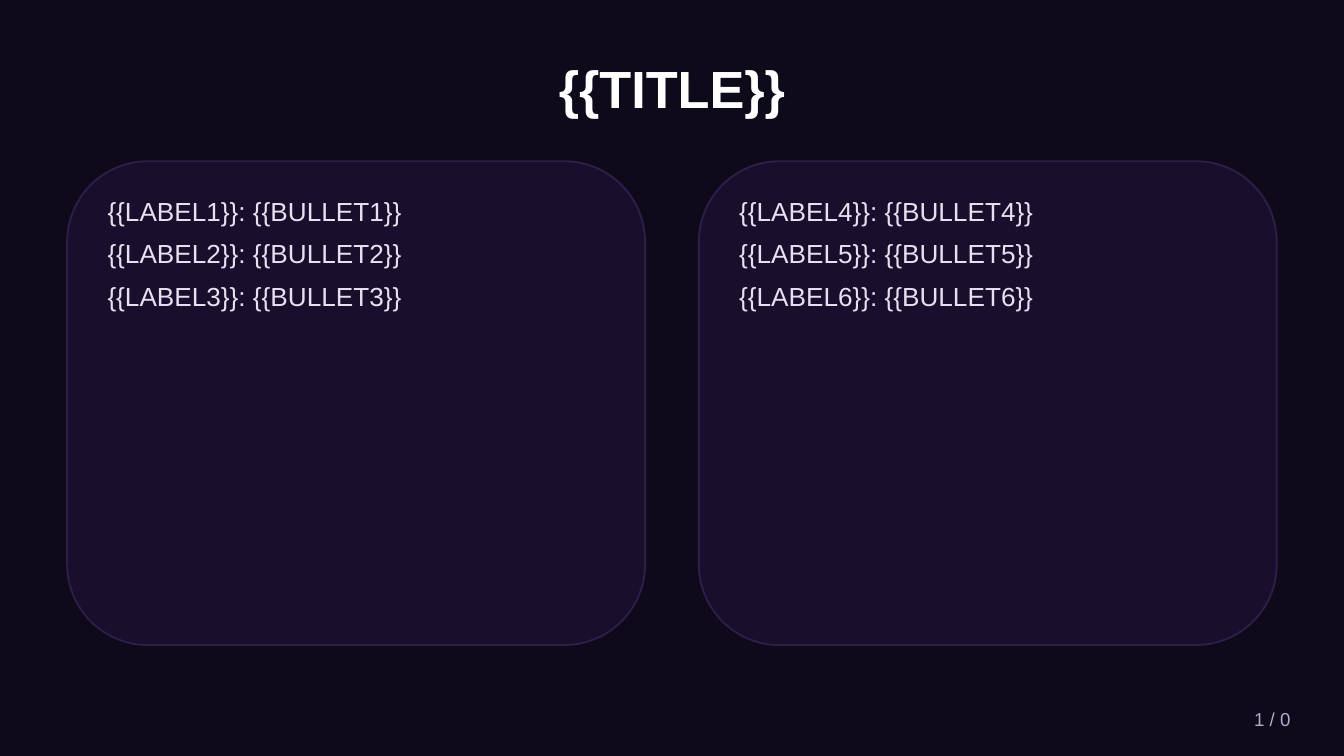
import pptx
import pptx.dml.color
import pptx.enum.shapes
import pptx.enum.text
import pptx.oxml
import pptx.oxml.ns
import pptx.util

Inches = pptx.util.Inches
ALIGN = pptx.enum.text.PP_ALIGN
ANCHOR = pptx.enum.text.MSO_ANCHOR


def rgb(hex_color):
    """Turn a hex string into a colour."""
    return pptx.dml.color.RGBColor.from_string(hex_color)


def place(shape, left, top, width, height):
    """Move and size a shape, in inches."""
    shape.left, shape.top = Inches(left), Inches(top)
    shape.width, shape.height = Inches(width), Inches(height)


def format_text(frame, size, color, align, anchor, bold=False, after=0):
    """Format every paragraph of a text frame alike."""
    frame.word_wrap = True
    frame.auto_size = pptx.enum.text.MSO_AUTO_SIZE.NONE
    frame.vertical_anchor = anchor
    for paragraph in frame.paragraphs:
        paragraph.alignment = align
        paragraph.space_before = pptx.util.Pt(0)
        paragraph.space_after = pptx.util.Pt(after)
        for run in paragraph.runs:
            run.font.name = "Arial"
            run.font.size = pptx.util.Pt(size)
            run.font.bold = bold
            run.font.color.rgb = rgb(color)


def add_title(slide, text, left, top, width, height):
    """Fill the title placeholder."""
    title = slide.shapes.title
    place(title, left, top, width, height)
    title.text_frame.text = text
    format_text(title.text_frame, 28, "FFFFFF", ALIGN.CENTER, ANCHOR.MIDDLE, bold=True)


def add_column(slide, body, items, left, top, width, height):
    """Draw a rounded panel with the body placeholder's list in front of it."""
    panel = slide.shapes.add_shape(
        pptx.enum.shapes.MSO_SHAPE.ROUNDED_RECTANGLE,
        Inches(left), Inches(top), Inches(width), Inches(height))
    panel.shadow.inherit = False
    panel.fill.solid()
    panel.fill.fore_color.rgb = rgb("1A1030")
    fill_color = panel._element.spPr.find(".//" + pptx.oxml.ns.qn("a:srgbClr"))
    fill_color.append(pptx.oxml.parse_xml(
        f'<a:alpha {pptx.oxml.ns.nsdecls("a")} val="90000"/>'))
    panel.line.color.rgb = rgb("2D1F4A")
    panel.line.width = pptx.util.Pt(1)

    padding = 0.2
    place(body, left + padding, top + padding, width - 2 * padding, height - 2 * padding)
    body.text_frame.text = "\n".join(items)
    for paragraph in body.text_frame.paragraphs:
        properties = paragraph._p.get_or_add_pPr()
        properties.set("marL", "0")
        properties.set("indent", "0")
        properties.append(pptx.oxml.parse_xml(f'<a:buNone {pptx.oxml.ns.nsdecls("a")}/>'))
    format_text(body.text_frame, 14, "E8E0F0", ALIGN.LEFT, ANCHOR.TOP, after=6)
    slide.shapes._spTree.append(body._element)


def add_page_number(slide, text, left, top, width, height):
    """Write the page count in the lower corner."""
    page_number = slide.shapes.add_textbox(
        Inches(left), Inches(top), Inches(width), Inches(height))
    page_number.text_frame.text = text
    format_text(page_number.text_frame, 10, "B8A8D0", ALIGN.RIGHT, ANCHOR.MIDDLE)


def main():
    """Build the two-column slide."""
    presentation = pptx.Presentation()
    presentation.slide_width = Inches(10)
    presentation.slide_height = Inches(10 * 9 / 16)
    slide = presentation.slides.add_slide(presentation.slide_layouts.get_by_name("Two Content"))
    slide.background.fill.solid()
    slide.background.fill.fore_color.rgb = rgb("0F0A1A")

    margin, column_width, gap, rows = 0.5, 4.3, 0.4, 3
    add_title(slide, "{{TITLE}}", margin, 0.3, 9, 0.7)
    bodies = [slide.placeholders[1], slide.placeholders[2]]
    for column, body in enumerate(bodies):
        first = column * rows + 1
        items = [f"{{{{LABEL{n}}}}}: {{{{BULLET{n}}}}}" for n in range(first, first + rows)]
        left = margin + column * (column_width + gap)
        add_column(slide, body, items, left, 1.2, column_width, 3.6)
    add_page_number(slide, "1 / 0", 8.5, 5.2, 1.2, 0.3)
    presentation.save("out.pptx")


if __name__ == "__main__":
    main()
